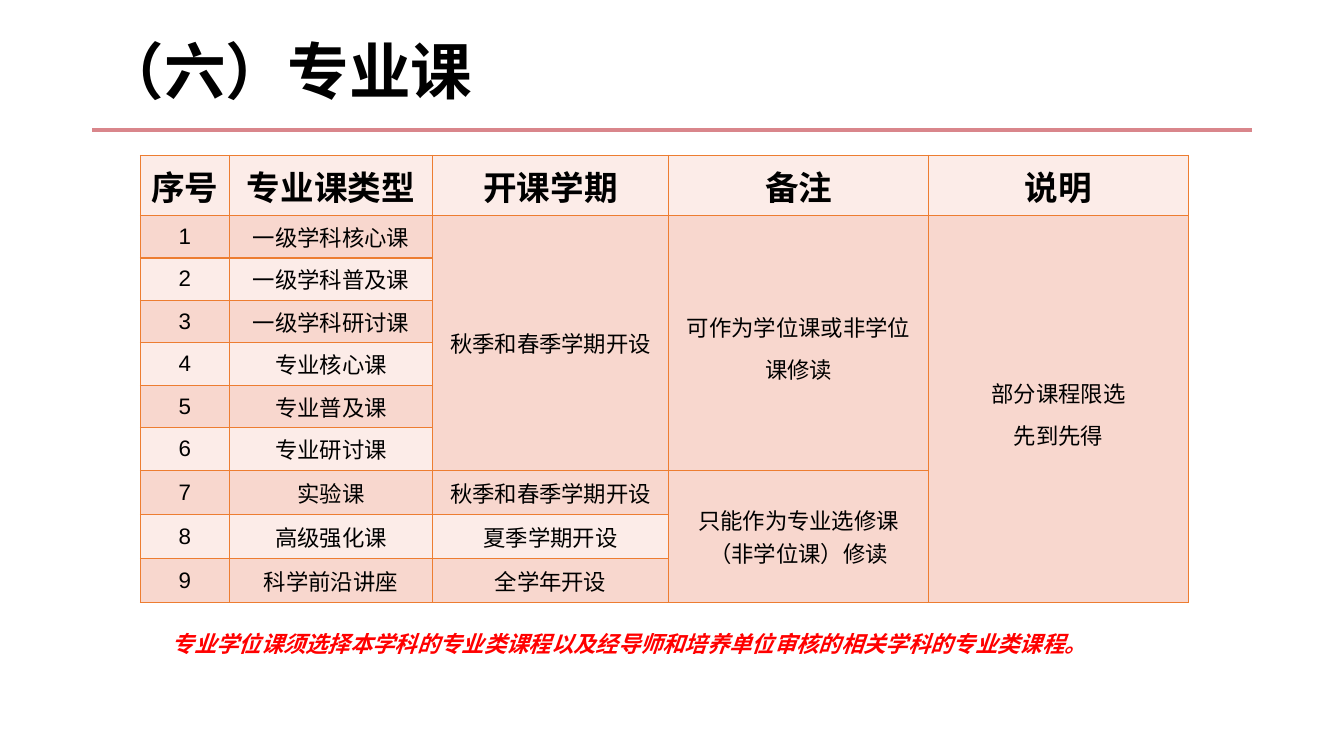
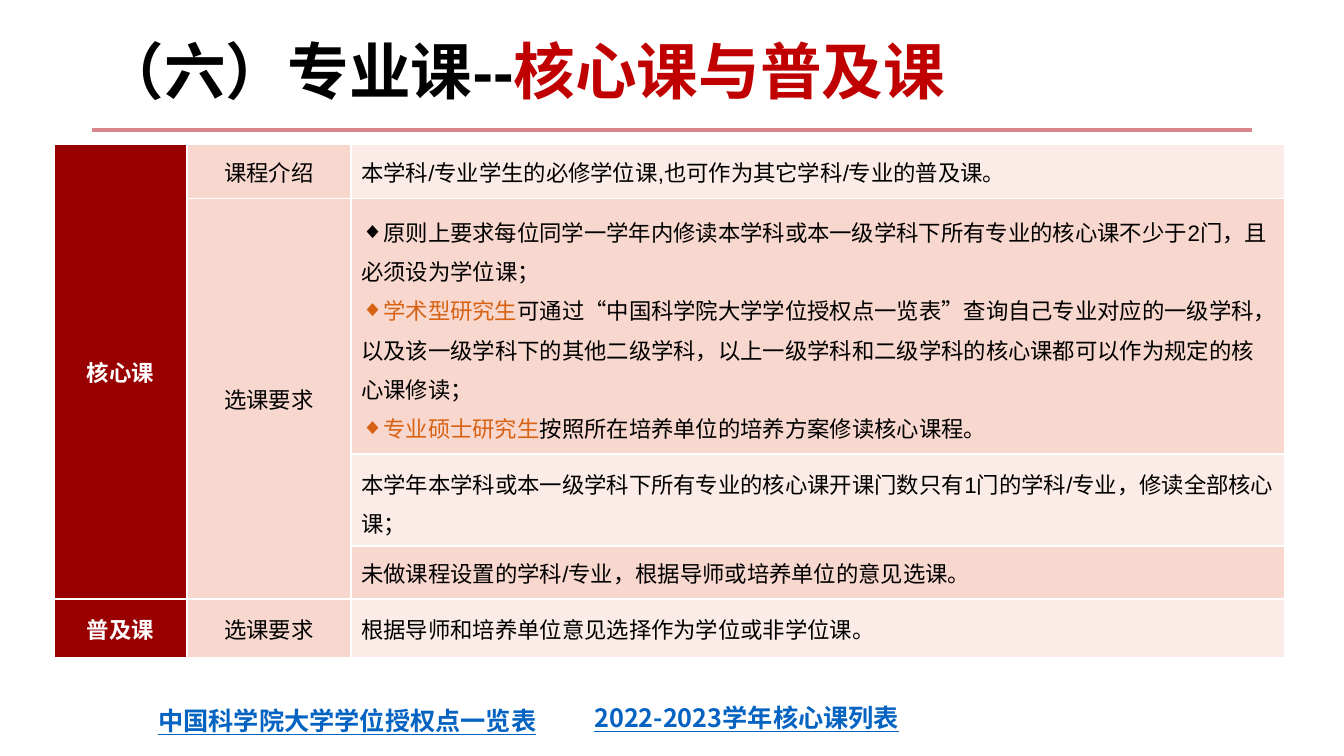
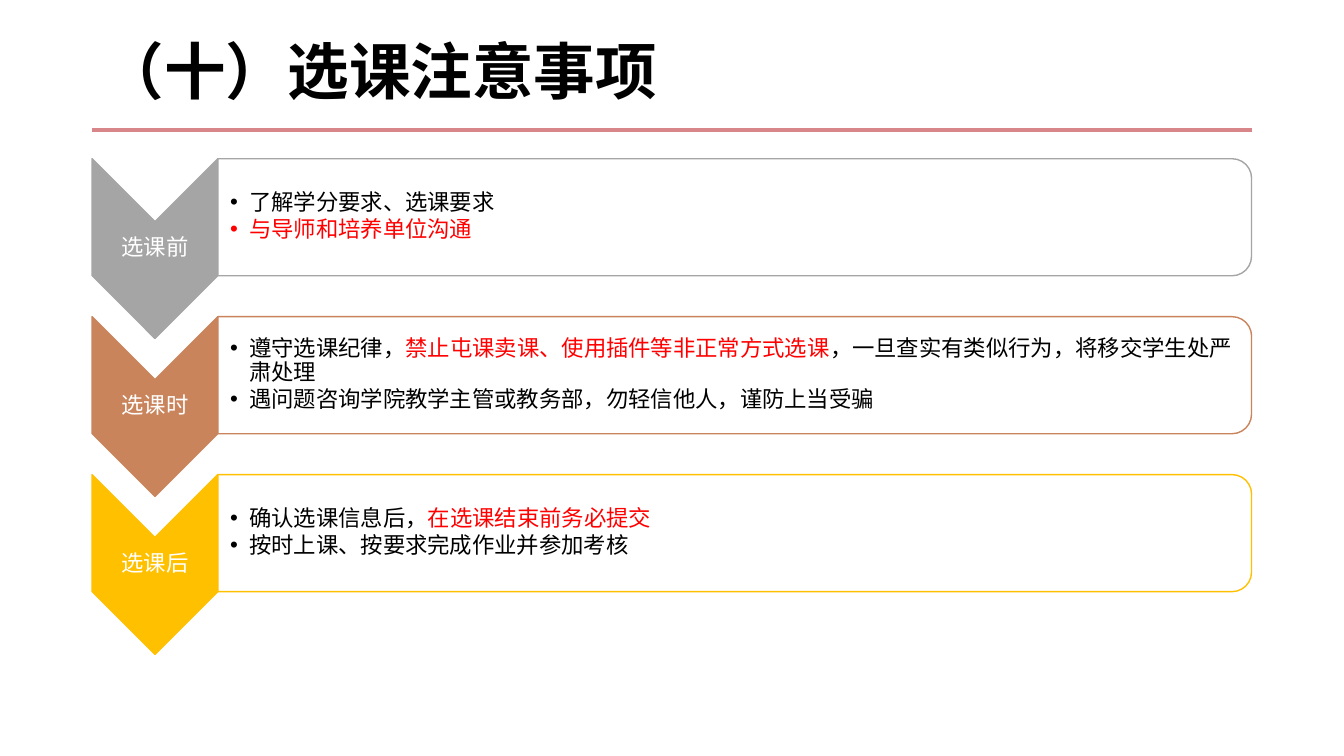
from lxml.etree import SubElement
from pptx import Presentation
from pptx.dml.color import RGBColor
from pptx.enum.shapes import MSO_CONNECTOR, MSO_SHAPE
from pptx.enum.text import MSO_ANCHOR, PP_ALIGN
from pptx.oxml.ns import qn
from pptx.util import Cm, Pt

LATIN, CJK = "Arial", "Noto Sans CJK SC"
BLACK, WHITE, RED, LINK = "000000", "FFFFFF", "FF0000", "0563C1"
RULE, BORDER, DARK_RED = "D9868B", "ED7D31", "990000"
TITLE_RED, ORANGE = "C00000", "D76213"
BANDS = ("FCECE8", "F8D7CE")
MARGIN, CONTENT_WIDTH = 2.33, 29.21

COURSES_TITLE = "（六）专业课"
COURSES = [
    ("序号", "专业课类型", "开课学期", "备注", "说明"),
    ("1", "一级学科核心课", "秋季和春季学期开设", "可作为学位课或非学位课修读",
     ["部分课程限选", "先到先得"]),
    ("2", "一级学科普及课"),
    ("3", "一级学科研讨课"),
    ("4", "专业核心课"),
    ("5", "专业普及课"),
    ("6", "专业研讨课"),
    ("7", "实验课", "秋季和春季学期开设", "只能作为专业选修课（非学位课）修读"),
    ("8", "高级强化课", "夏季学期开设"),
    ("9", "科学前沿讲座", "全学年开设"),
]
COURSE_SPANS = {(1, 2): 6, (1, 3): 6, (1, 4): 9, (7, 3): 3}
COURSE_NOTE = "专业学位课须选择本学科的专业类课程以及经导师和培养单位审核的相关学科的专业类课程。"

CORE_TITLE = [[("（六）专业课--", BLACK), ("核心课与普及课", TITLE_RED)]]
CORE_RULES = [
    "原则上要求每位同学一学年内修读本学科或本一级学科下所有专业的核心课不少于2门，且必须设为学位课；",
    [("学术型研究生", ORANGE),
     ("可通过“中国科学院大学学位授权点一览表”查询自己专业对应的一级学科，以及该一级学科下的其他二级学科，"
      "以上一级学科和二级学科的核心课都可以作为规定的核心课修读；", BLACK)],
    [("专业硕士研究生", ORANGE), ("按照所在培养单位的培养方案修读核心课程。", BLACK)],
]
CORE = [
    ("核心课", "课程介绍", "本学科/专业学生的必修学位课,也可作为其它学科/专业的普及课。"),
    (None, "选课要求", CORE_RULES),
    (None, None, "本学年本学科或本一级学科下所有专业的核心课开课门数只有1门的学科/专业，修读全部核心课；"),
    (None, None, "未做课程设置的学科/专业，根据导师或培养单位的意见选课。"),
    ("普及课", "选课要求", "根据导师和培养单位意见选择作为学位或非学位课。"),
]
CORE_SPANS = {(0, 0): 4, (1, 1): 3}
CORE_LINKS = [
    ("2022-2023学年核心课列表", 14.73, 17.58, 8.46),
    ("中国科学院大学学位授权点一览表", 3.74, 17.66, 10.19),
]

NOTICE_TITLE = "（十）选课注意事项"
STAGES = [
    ("选课前", "A5A5A5", [
        "了解学分要求、选课要求",
        [("与导师和培养单位沟通", RED)]]),
    ("选课时", "C9845C", [
        [("遵守选课纪律，", BLACK), ("禁止屯课卖课、使用插件等非正常方式选课", RED),
         ("，一旦查实有类似行为，将移交学生处严肃处理", BLACK)],
        "遇问题咨询学院教学主管或教务部，勿轻信他人，谨防上当受骗"]),
    ("选课后", "FFC000", [
        [("确认选课信息后，", BLACK), ("在选课结束前务必提交", RED)],
        "按时上课、按要求完成作业并参加考核"]),
]


def rgb(value):
    return RGBColor.from_string(value)


def write(frame, text, size=16, color=BLACK, bold=False, italic=False, underline=False,
          font=LATIN, align=PP_ALIGN.LEFT, spacing=None, after=0, bullet=None, hang=0):
    paragraphs = [text] if isinstance(text, str) else text
    for index, content in enumerate(paragraphs):
        paragraph = frame.paragraphs[0] if index == 0 else frame.add_paragraph()
        paragraph.alignment = align
        paragraph.line_spacing = spacing
        paragraph.space_after = Pt(after)
        if bullet:
            properties = paragraph._p.get_or_add_pPr()
            properties.set("marL", str(Cm(hang)))
            properties.set("indent", str(-Cm(hang)))
            SubElement(properties, qn("a:buFont")).set("typeface", LATIN)
            SubElement(properties, qn("a:buChar")).set("char", bullet)
        for words, tint in [(content, color)] if isinstance(content, str) else content:
            run = paragraph.add_run()
            run.text = words
            run.font.size = Pt(size)
            run.font.bold, run.font.italic, run.font.underline = bold, italic, underline
            run.font.name = font
            run.font.color.rgb = rgb(tint)
            SubElement(run._r.get_or_add_rPr(), qn("a:ea")).set("typeface", CJK)


def add_text(slide, text, left, top, width, height, anchor=MSO_ANCHOR.TOP, insets=None, **style):
    frame = slide.shapes.add_textbox(Cm(left), Cm(top), Cm(width), Cm(height)).text_frame
    frame.word_wrap = True
    frame.vertical_anchor = anchor
    if insets:
        (frame.margin_left, frame.margin_top,
         frame.margin_right, frame.margin_bottom) = map(Cm, insets)
    write(frame, text, **style)


def add_panel(slide, preset, left, top, width, height, fill, line=None):
    panel = slide.shapes.add_shape(preset, Cm(left), Cm(top), Cm(width), Cm(height))
    panel.shadow.inherit = False
    panel.fill.solid()
    panel.fill.fore_color.rgb = rgb(fill)
    if line:
        panel.line.color.rgb = rgb(line)
        panel.line.width = Pt(1)
    else:
        panel.line.fill.background()
    return panel


def add_caption(slide, text, left, top, width, height, **style):
    frame = add_panel(slide, MSO_SHAPE.RECTANGLE, left, top, width, height, WHITE).text_frame
    frame.word_wrap = True
    frame.vertical_anchor = MSO_ANCHOR.TOP
    write(frame, text, **style)


def add_turned(slide, preset, left, top, width, height, fill, line):
    shift = (width - height) / 2
    add_panel(slide, preset, left + shift, top - shift, height, width, fill, line).rotation = 90


def add_titled_slide(deck, title):
    slide = deck.slides.add_slide(deck.slide_layouts[6])
    rule = slide.shapes.add_connector(MSO_CONNECTOR.STRAIGHT, Cm(MARGIN), Cm(3.28),
                                      Cm(MARGIN + CONTENT_WIDTH), Cm(3.28))
    rule.line.color.rgb = rgb(RULE)
    rule.line.width = Pt(3)
    SubElement(rule._element.spPr, qn("a:effectLst"))
    add_text(slide, title, MARGIN + 0.01, 0.47, CONTENT_WIDTH, 2.8, anchor=MSO_ANCHOR.MIDDLE,
             size=44, bold=True, spacing=0.9)
    return slide


def add_border(cell, color, width):
    properties = cell._tc.get_or_add_tcPr()
    for side in ("lnL", "lnR", "lnT", "lnB"):
        edge = SubElement(properties, qn(f"a:{side}"))
        edge.set("w", str(Pt(width)))
        fill = SubElement(edge, qn("a:solidFill"))
        SubElement(fill, qn("a:srgbClr")).set("val", color)


def add_grid(slide, rows, left, top, widths, heights, spans, border, style_of, fill_of):
    table = slide.shapes.add_table(len(heights), len(widths), Cm(left), Cm(top),
                                   Cm(sum(widths)), Cm(sum(heights))).table
    table.first_row = table.horz_banding = False
    for column, width in zip(table.columns, widths):
        column.width = Cm(width)
    for row, height in zip(table.rows, heights):
        row.height = Cm(height)
    for r, texts in enumerate(rows):
        for c in range(len(widths)):
            cell = table.cell(r, c)
            add_border(cell, *border)
            cell.fill.solid()
            cell.fill.fore_color.rgb = rgb(fill_of(r, c))
            cell.vertical_anchor = MSO_ANCHOR.MIDDLE
            if c < len(texts) and texts[c]:
                write(cell.text_frame, texts[c], **style_of(r, c))
    for (r, c), count in spans.items():
        table.cell(r, c).merge(table.cell(r + count - 1, c))


def course_style(r, c):
    if r == 0:
        return dict(size=24, bold=True, align=PP_ALIGN.CENTER)
    loose = (r, c) in ((1, 3), (1, 4))
    return dict(align=PP_ALIGN.CENTER, spacing=1.3 if loose else None)


def core_style(r, c):
    if c == 0:
        return dict(color=WHITE, bold=True, align=PP_ALIGN.CENTER)
    if c == 1:
        return dict(align=PP_ALIGN.CENTER)
    return dict(spacing=Pt(28) if r in (1, 2) else None, bullet="◆" if r == 1 else None)


def build_courses(deck):
    slide = add_titled_slide(deck, COURSES_TITLE)
    add_grid(slide, COURSES, 3.54, 3.92, (2.24, 5.12, 5.95, 6.55, 6.55),
             [1.51] + [1.07] * 6 + [1.11] * 3, COURSE_SPANS, (BORDER, 1),
             course_style, lambda r, c: BANDS[r % 2])
    add_caption(slide, COURSE_NOTE, 4.08, 15.56, 24.05, 1.14,
                color=RED, bold=True, italic=True, spacing=1.3)


def build_core(deck):
    slide = add_titled_slide(deck, CORE_TITLE)
    add_grid(slide, CORE, 1.36, 3.64, (3.35, 4.14, 23.53), (1.36, 6.44, 2.32, 1.33, 1.49),
             CORE_SPANS, (WHITE, 1.5), core_style,
             lambda r, c: (DARK_RED, BANDS[1], BANDS[r % 2])[c])
    for label, left, top, width in CORE_LINKS:
        add_caption(slide, label, left, top, width, 1.02, size=18, color=LINK,
                    bold=True, underline=True, font=CJK)


def build_notice(deck):
    slide = add_titled_slide(deck, NOTICE_TITLE)
    arrow_left, arrow_width, pitch = MARGIN - 0.01, 3.17, 3.98
    panel_left = arrow_left + arrow_width
    panel_width = MARGIN + CONTENT_WIDTH - panel_left
    for index, (stage, color, advice) in enumerate(STAGES):
        top = 4 + index * pitch
        add_turned(slide, MSO_SHAPE.CHEVRON, arrow_left, top, arrow_width, 4.53, color, color)
        add_text(slide, stage, arrow_left, top + 1.59, arrow_width, 1.35,
                 anchor=MSO_ANCHOR.MIDDLE, insets=[0.03] * 4, color=WHITE,
                 align=PP_ALIGN.CENTER, spacing=0.9)
        add_turned(slide, MSO_SHAPE.ROUND_2_SAME_RECTANGLE, panel_left, top,
                   panel_width, 2.95, WHITE, color)
        add_text(slide, advice, panel_left + 0.01, top + 0.14, 25.91, 2.65,
                 anchor=MSO_ANCHOR.MIDDLE, insets=(0.3, 0.03, 0.03, 0.03),
                 spacing=0.9, after=2.4, bullet="•", hang=0.48)


def main():
    deck = Presentation()
    deck.slide_width, deck.slide_height = Cm(33.87), Cm(19.05)
    build_courses(deck)
    build_core(deck)
    build_notice(deck)
    deck.save("out.pptx")


if __name__ == "__main__":
    main()
